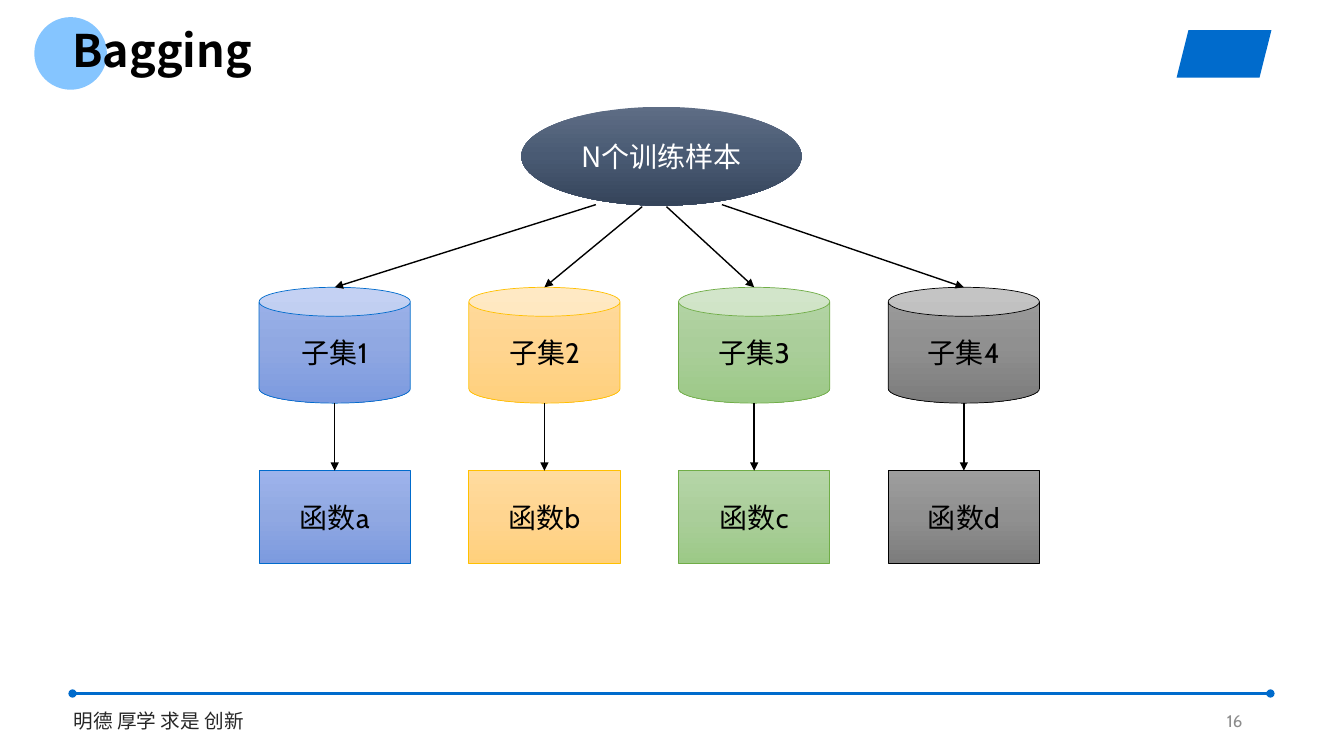
"""Builds the Bagging slide: samples split into four subsets, each training a function."""
from lxml import etree
from pptx import Presentation
from pptx.dml.color import RGBColor
from pptx.enum import shapes, text
from pptx.oxml.ns import qn
from pptx.util import Inches, Pt

TITLE = "Bagging"
MOTTO = "明德 厚学 求是 创新"
PAGE_NUMBER = "16"
SAMPLES = "N个训练样本"
BRANCHES = [
    ("子集1", "函数a", "blue", (5.91, 2.03)),
    ("子集2", "函数b", "amber", (6.37, 2.05)),
    ("子集3", "函数c", "green", (6.61, 2.05)),
    ("子集4", "函数d", "gray", (7.16, 2.03)),
]

THEME = {
    "body": "Cabin",
    "cjk": "Noto Sans CJK SC",
    "ink": "000000",
    "white": "FFFFFF",
    "accent": "006BCC",
    "bubble": "85C5FF",
    "motto": "262626",
    "number": "8C8C8C",
    "title_size": 32,
    "node_size": 20,
    "motto_size": 14,
    "number_size": 12,
    "gradients": {
        "blue": ("9DB3EB", "90A8E2", "7C9ADF"),
        "amber": ("FFDB9E", "FFD590", "FFD07C"),
        "green": ("B5D5A7", "AACE9A", "9CC987"),
        "gray": ("9D9D9D", "909090", "7C7C7C"),
        "navy": ("5E6D85", "495A73", "35445A"),
    },
    "outlines": {"blue": "006BCC", "amber": "FFC000", "green": "70AD47", "gray": "000000"},
}

FIRST_LEFT, PITCH, NODE_WIDTH = 2.57, 2.08, 1.5
SUBSET_TOP, SUBSET_HEIGHT = 2.85, 1.15
FUNCTION_TOP, FUNCTION_HEIGHT = 4.67, 0.92

deck = Presentation()
deck.slide_width, deck.slide_height = Inches(13.33), Inches(7.5)
slide = deck.slides.add_slide(deck.slide_layouts[6])


def write(host, words, size, color, font=THEME["body"], align=text.PP_ALIGN.LEFT,
          anchor=text.MSO_ANCHOR.MIDDLE, bold=False):
    frame = host.text_frame
    frame.word_wrap = True
    frame.vertical_anchor = anchor
    paragraph = frame.paragraphs[0]
    paragraph.alignment = align
    run = paragraph.add_run()
    run.text = words
    for name, value in {"name": font, "size": Pt(size), "bold": bold}.items():
        setattr(run.font, name, value)
    run.font.color.rgb = RGBColor.from_string(color)
    etree.SubElement(run.font._element, qn("a:ea"), typeface=THEME["cjk"])
    return paragraph


def add_label(box, *args, **kwargs):
    return write(slide.shapes.add_textbox(*map(Inches, box)), *args, **kwargs)


def add_plain(kind, box, color):
    plain = slide.shapes.add_shape(kind, *map(Inches, box))
    plain.shadow.inherit = False
    plain.fill.solid()
    plain.fill.fore_color.rgb = RGBColor.from_string(color)
    plain.line.fill.background()
    return plain


def add_node(kind, box, words, tone, color=THEME["ink"], font=THEME["body"]):
    node = slide.shapes.add_shape(kind, *map(Inches, box))
    node.shadow.inherit = False
    gradient = etree.Element(qn("a:gradFill"), rotWithShape="1")
    stops = etree.SubElement(gradient, qn("a:gsLst"))
    for position, shade in zip((0, 50000, 100000), THEME["gradients"][tone]):
        stop = etree.SubElement(stops, qn("a:gs"), pos=str(position))
        etree.SubElement(stop, qn("a:srgbClr"), val=shade)
    etree.SubElement(gradient, qn("a:lin"), ang="5400000", scaled="0")
    node._element.spPr.find(qn("a:prstGeom")).addnext(gradient)
    if tone in THEME["outlines"]:
        node.line.color.rgb = RGBColor.from_string(THEME["outlines"][tone])
        node.line.width = Pt(0.5)
    else:
        node.line.fill.background()
    write(node, words, THEME["node_size"], color, font, text.PP_ALIGN.CENTER)
    return node


def add_line(start, end, color=THEME["ink"], width=1, head=None, tail="triangle"):
    line = slide.shapes.add_connector(
        shapes.MSO_CONNECTOR.STRAIGHT, *map(Inches, (*start, *end)))
    line.line.color.rgb = RGBColor.from_string(color)
    line.line.width = Pt(width)
    outline = line.line._get_or_add_ln()
    for tag, cap in (("a:headEnd", head), ("a:tailEnd", tail)):
        if cap:
            etree.SubElement(outline, qn(tag), type=cap)
    etree.SubElement(line._element.spPr, qn("a:effectLst"))
    return line


add_label((0.63, 6.98, 2.56, 0.34), MOTTO, THEME["motto_size"], THEME["motto"],
          anchor=text.MSO_ANCHOR.TOP)
add_plain(shapes.MSO_SHAPE.OVAL, (0.34, 0.17, 0.72, 0.72), THEME["bubble"])
add_line((0.72, 6.88), (12.6, 6.88), THEME["accent"], 1.75, "oval", "oval")
add_plain(shapes.MSO_SHAPE.PARALLELOGRAM, (11.67, 0.3, 0.94, 0.47), THEME["accent"])
heading = add_label((0.62, 0.29, 5.29, 0.47), TITLE, THEME["title_size"], THEME["ink"],
                    THEME["cjk"], bold=True)
heading.line_spacing = 0.9

add_node(shapes.MSO_SHAPE.OVAL, (5.17, 1.06, 2.78, 0.98), SAMPLES, "navy",
         THEME["white"], THEME["cjk"])
for column, (subset, function, tone, fan_start) in enumerate(BRANCHES):
    left = FIRST_LEFT + column * PITCH
    middle = left + NODE_WIDTH / 2
    add_node(shapes.MSO_SHAPE.CAN, (left, SUBSET_TOP, NODE_WIDTH, SUBSET_HEIGHT),
             subset, tone)
    function_box = add_node(shapes.MSO_SHAPE.FLOWCHART_PROCESS,
                            (left, FUNCTION_TOP, NODE_WIDTH, FUNCTION_HEIGHT),
                            function, tone)
    add_line(fan_start, (middle, SUBSET_TOP))
    training = add_line((middle, SUBSET_TOP + SUBSET_HEIGHT), (middle, FUNCTION_TOP))
    training.end_connect(function_box, 0)

add_label((9.42, 6.95, 3, 0.4), PAGE_NUMBER, THEME["number_size"], THEME["number"],
          align=text.PP_ALIGN.RIGHT)

deck.save("out.pptx")
